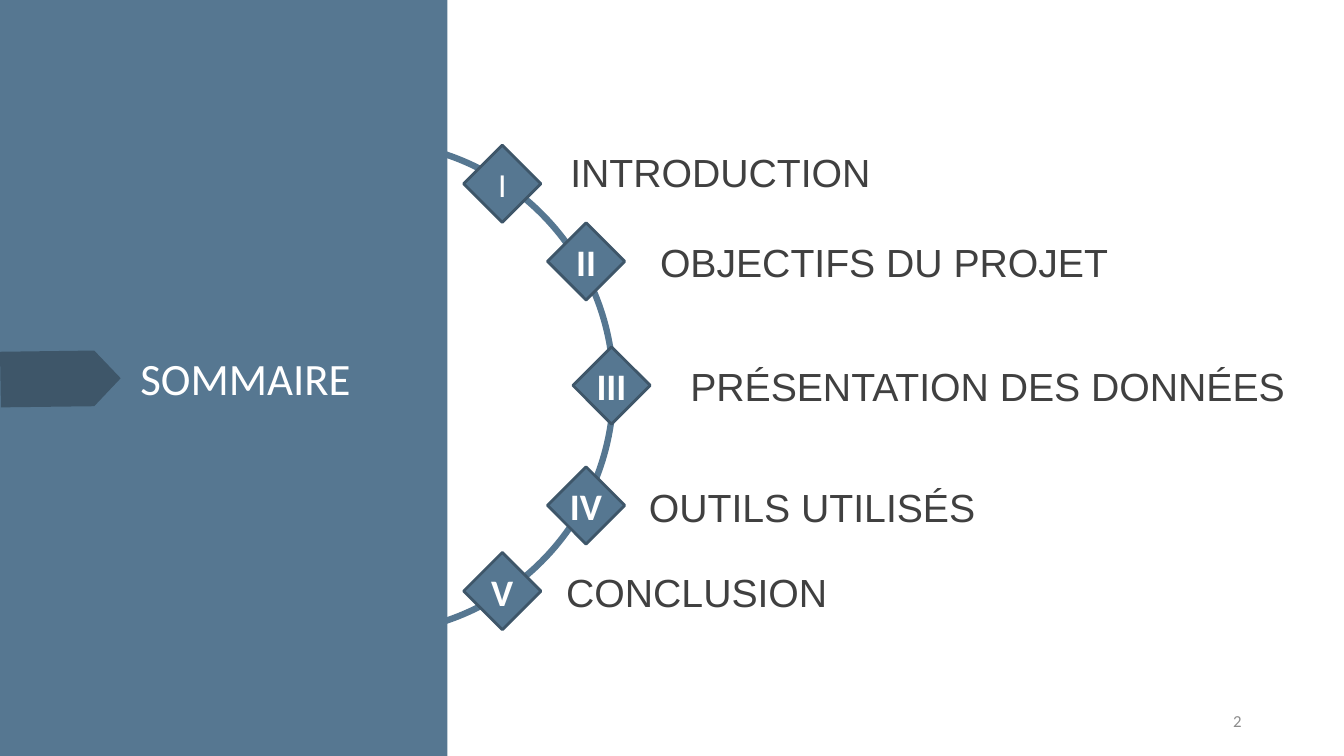
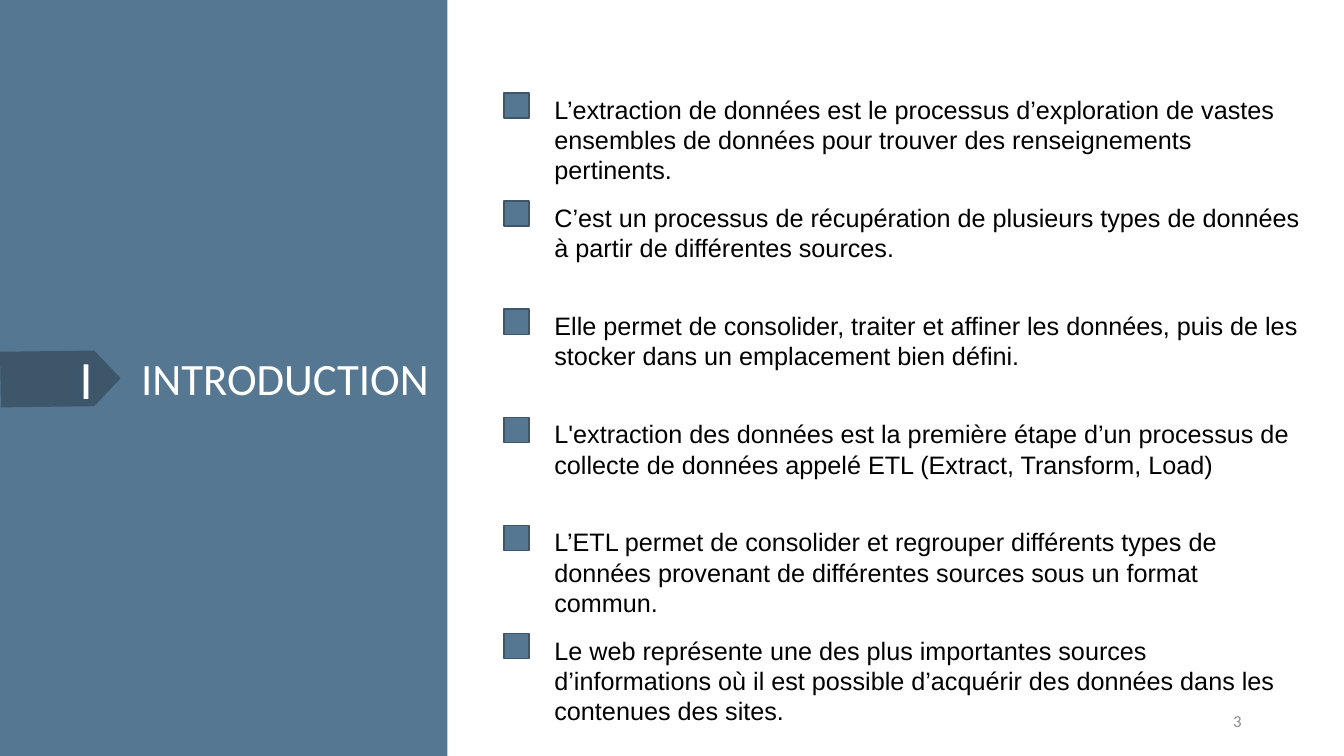
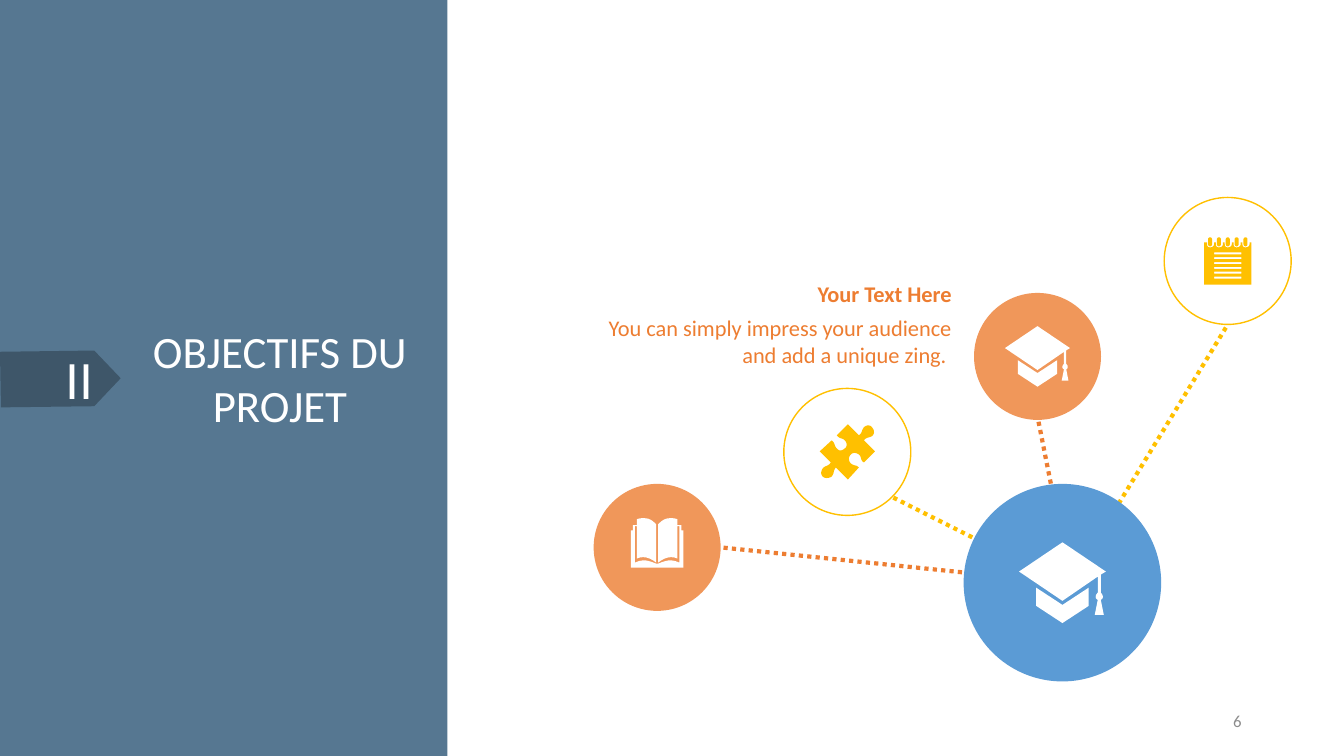
from lxml import etree
from pptx import Presentation
from pptx.dml.color import RGBColor
from pptx.enum.dml import MSO_LINE
from pptx.enum.shapes import MSO_CONNECTOR, MSO_SHAPE
from pptx.enum.text import MSO_ANCHOR, MSO_AUTO_SIZE, PP_ALIGN
from pptx.oxml.ns import qn
from pptx.util import Pt

RECT, OVAL = MSO_SHAPE.RECTANGLE, MSO_SHAPE.OVAL
DIAMOND, ARC = MSO_SHAPE.DIAMOND, MSO_SHAPE.BLOCK_ARC
LEFT, CENTER, RIGHT = PP_ALIGN.LEFT, PP_ALIGN.CENTER, PP_ALIGN.RIGHT
TOP, MIDDLE = MSO_ANCHOR.TOP, MSO_ANCHOR.MIDDLE
DOTTED = MSO_LINE.ROUND_DOT
STRAIGHT = MSO_CONNECTOR.STRAIGHT

STEEL = RGBColor(0x56, 0x77, 0x91)
NAVY = RGBColor(0x3E, 0x56, 0x69)
WHITE = RGBColor(0xFF, 0xFF, 0xFF)
BLACK = RGBColor(0, 0, 0)
CHARCOAL = RGBColor(0x40, 0x40, 0x40)
GREY = RGBColor(0x8C, 0x8C, 0x8C)
ORANGE = RGBColor(0xED, 0x7D, 0x31)
GOLD = RGBColor(0xFF, 0xC0, 0x00)
BLUE = RGBColor(0x5B, 0x9B, 0xD5)

TITLE_ONLY, TITLE_AND_BODY = 5, 1

# Icon outlines on a free grid: pairs are corners, sextets are Bezier curves.
CAP = [
    [(17, 45), (43, 62), (69, 45), (69, 63), (43, 80), (17, 63)],
    [(43, 0), (86, 29), (81, 32), (81, 50), (82, 51, 83, 52, 83, 54),
     (83, 55, 83, 56, 81, 57), (84, 72), (75, 72), (78, 57),
     (76, 56, 76, 55, 76, 54), (76, 52, 77, 51, 78, 50), (78, 34),
     (43, 58), (0, 29)],
]
PUZZLE = [
    [(52, 3), (54, 5, 55, 8, 53, 11), (50, 14, 47, 12, 44, 16), (55, 27),
     (44, 38), (40, 36, 42, 32, 39, 30), (36, 28, 33, 28, 31, 30),
     (29, 32, 28, 36, 31, 39), (35, 42, 36, 40, 39, 43), (28, 55), (16, 43),
     (13, 47, 15, 48, 12, 52), (9, 54, 5, 54, 3, 52), (1, 50, 1, 47, 3, 44),
     (5, 41, 9, 42, 11, 38), (0, 27), (12, 16), (16, 19, 14, 22, 18, 25),
     (20, 27, 23, 26, 25, 24), (27, 23, 28, 19, 25, 16),
     (22, 13, 20, 15, 17, 11), (28, 0), (39, 11), (43, 8, 41, 7, 44, 3),
     (47, 0, 51, 1, 52, 3)],
]
BOOK_HALF = [
    (27, 45), (35, 42, 39, 40, 48, 44), (48, 8), (46, 8), (46, 40),
    (40, 37, 33, 39, 27, 44), (27, 6), (31, 2, 34, 0, 39, 0),
    (41, 0, 43, 0, 46, 1), (46, 7), (50, 7), (50, 12), (52, 12), (52, 49),
]
BOOK_WIDTH = 52


def flatten(contour, steps=6):
    """Turn corners and Bezier curves into a plain list of points."""
    points = []
    for item in contour:
        if len(item) == 2:
            points.append(item)
            continue
        x0, y0 = points[-1]
        x1, y1, x2, y2, x3, y3 = item
        for k in range(1, steps + 1):
            t = k / steps
            a, b, c, d = (1 - t) ** 3, 3 * t * (1 - t) ** 2, 3 * t * t * (1 - t), t ** 3
            points.append((a * x0 + b * x1 + c * x2 + d * x3,
                           a * y0 + b * y1 + c * y2 + d * y3))
    return points


def book_contours():
    right = flatten(BOOK_HALF)
    return [right + [(BOOK_WIDTH - x, y) for x, y in reversed(right)]]


def notepad_contours():
    """Page with notches, its rings, and ruled lines as holes."""
    page, rings = [(0, 5)], []
    for i in range(5):
        x = 3 + 8.8 * i
        page += [(x, 5), (x, 7), (x, 9, x + 1, 10, x + 3, 10),
                 (x + 5, 10, x + 7, 9, x + 7, 7), (x + 7, 5)]
        rings.append([(x + 3, 0), (x + 4, 0, x + 5, 1, x + 5, 2), (x + 5, 7),
                      (x + 5, 8, x + 4, 9, x + 3, 9),
                      (x + 2, 9, x + 1, 8, x + 1, 7), (x + 1, 2),
                      (x + 1, 1, x + 2, 0, x + 3, 0)])
    page += [(47, 5), (47, 47), (0, 47)]
    tops = [15 + 4.8 * i for i in range(6)]
    rules = [[(10, y), (37, y), (37, y + 2), (10, y + 2)] for y in tops]
    return [page] + rings + rules


def paint(sp, fill=None, line=None, weight=1, alpha=None):
    sp.shadow.inherit = False
    if fill is None:
        sp.fill.background()
    else:
        sp.fill.solid()
        sp.fill.fore_color.rgb = fill
    if alpha is not None:
        color = sp._element.spPr.find(qn("a:solidFill"))[0]
        etree.SubElement(color, qn("a:alpha"), val=str(alpha * 1000))
    if line is None:
        sp.line.fill.background()
    else:
        sp.line.color.rgb = line
        sp.line.width = Pt(weight)


def add_shape(slide, kind, left, top, width, height, **look):
    sp = slide.shapes.add_shape(kind, Pt(left), Pt(top), Pt(width), Pt(height))
    paint(sp, **look)
    return sp


def add_outline(slide, contours, fill):
    """Draw closed outlines, given in points, as one freeform."""
    builder = None
    for contour in contours:
        points = [(Pt(x), Pt(y)) for x, y in contour]
        if builder is None:
            builder = slide.shapes.build_freeform(*points[0])
        else:
            builder.move_to(*points[0])
        builder.add_line_segments(points[1:], close=True)
    paint(builder.convert_to_shape(), fill=fill)


def add_icon(slide, contours, cx, cy, width, fill):
    """Scale an icon to a width and centre it on a point."""
    flat = [flatten(c) for c in contours]
    xs = [x for c in flat for x, _ in c]
    ys = [y for c in flat for _, y in c]
    scale = width / (max(xs) - min(xs))
    mid_x, mid_y = (min(xs) + max(xs)) / 2, (min(ys) + max(ys)) / 2
    add_outline(slide, [[(cx + (x - mid_x) * scale, cy + (y - mid_y) * scale)
                         for x, y in c] for c in flat], fill)


def add_dotted_line(slide, start, end, color):
    line = slide.shapes.add_connector(STRAIGHT, *[Pt(v) for v in start + end])
    line.line.color.rgb = color
    line.line.width = Pt(3)
    line.line.dash_style = DOTTED
    etree.SubElement(line._element.spPr, qn("a:effectLst"))


def set_frame(tf, anchor=TOP, inset=(7.2, 3.6)):
    tf.word_wrap = True
    tf.auto_size = MSO_AUTO_SIZE.NONE
    tf.vertical_anchor = anchor
    tf.margin_left = tf.margin_right = Pt(inset[0])
    tf.margin_top = tf.margin_bottom = Pt(inset[1])
    return tf


def write(tf, text, size=18, color=BLACK, font="Calibri", bold=False,
          align=LEFT, after=0, leading=None):
    """Write text in the first paragraph if it is empty, else in a new one."""
    p = tf.paragraphs[0] if not tf.text else tf.add_paragraph()
    p.alignment = align
    p.space_before, p.space_after = Pt(0), Pt(after)
    if leading:
        p.line_spacing = Pt(leading)
    r = p.add_run()
    r.text = text
    r.font.size, r.font.name, r.font.bold = Pt(size), font, bold
    r.font.color.rgb = color
    return p


def add_box(slide, left, top, width, height, anchor=TOP):
    box = slide.shapes.add_textbox(Pt(left), Pt(top), Pt(width), Pt(height))
    return set_frame(box.text_frame, anchor)


def place(slide, sp, left, top, width, height):
    """Move a placeholder, bring it to the front and ready its frame."""
    sp.left, sp.top, sp.width, sp.height = Pt(left), Pt(top), Pt(width), Pt(height)
    slide.shapes._spTree.append(sp._element)
    return set_frame(sp.text_frame)


def add_frame(slide, title, box, number, align=LEFT, numeral=None):
    """Add the side band, tag, title and slide number of every slide."""
    add_shape(slide, RECT, 0, 0, 319.7, 540, fill=STEEL)
    add_outline(slide, [[(0, 251.3), (67.3, 250.4), (86.2, 270.2),
                         (67.3, 290.2), (0.7, 291)]], NAVY)
    write(place(slide, slide.shapes.title, *box), title, size=32, color=WHITE,
          align=align)
    if numeral:
        write(add_box(slide, 24, 245.5, 50, 51), numeral, size=36, color=WHITE,
              font="Arial", align=RIGHT)
    write(add_box(slide, 678, 500.5, 216, 28.8, MIDDLE), number, size=12,
          color=GREY, align=RIGHT)


def build_summary(slide):
    arc = add_shape(slide, ARC, 85, 99.4, 355, 355, fill=STEEL, line=STEEL)
    for i, value in enumerate((161.74, 54.2, 0.01)):
        arc.adjustments[i] = value
    add_frame(slide, "SOMMAIRE", (93, 247, 203, 46), "2")
    size = 55.2
    # numeral, diamond centre, label left, label middle
    chapters = [
        ("I", 358.8, 131.3, 400.3, 122.8, "INTRODUCTION"),
        ("II", 418.6, 186.7, 464.4, 186.8, "OBJECTIFS DU PROJET"),
        ("III", 436.8, 275.3, 486, 275.4, "PRÉSENTATION DES DONNÉES"),
        ("IV", 418.6, 361, 456.5, 361.8, "OUTILS UTILISÉS"),
        ("V", 358.8, 422.2, 397.4, 423, "CONCLUSION"),
    ]
    for numeral, cx, cy, left, middle, label in chapters:
        first = numeral == "I"
        sp = add_shape(slide, DIAMOND, cx - size / 2, cy - size / 2, size, size,
                       fill=STEEL, line=NAVY, weight=2)
        tf = set_frame(sp.text_frame, MIDDLE, inset=(0, 0))
        tf.word_wrap = False
        write(tf, numeral, size=24 if first else 26.7, color=WHITE,
              bold=not first, align=CENTER)
        write(add_box(slide, left, middle - 20.5, 454, 41, MIDDLE), label,
              size=28, color=CHARCOAL, font="Arial")


def build_introduction(slide):
    add_frame(slide, "INTRODUCTION", (93.6, 247, 250, 46), "3", numeral="I")
    # text and the number of lines it fills
    items = [
        ("L’extraction de données est le processus d’exploration de vastes "
         "ensembles de données pour trouver des renseignements pertinents.", 3),
        ("C’est un processus de récupération de plusieurs types de données "
         "à partir de différentes sources.", 2),
        ("Elle permet de consolider, traiter et affiner les données, puis de "
         "les stocker dans un emplacement bien défini.", 2),
        ("L'extraction des données est la première étape d’un processus de "
         "collecte de données appelé ETL (Extract, Transform, Load)", 2),
        ("L’ETL permet de consolider et regrouper différents types de données "
         "provenant de différentes sources sous un format commun.", 3),
        ("Le web représente une des plus importantes sources d’informations "
         "où il est possible d’acquérir des données dans les contenues des "
         "sites.", 3),
    ]
    pitch, leading = 77.25, 21.7
    tf = place(slide, slide.placeholders[1], 388.8, 63.4, 553, 460)
    for i, (text, lines) in enumerate(items):
        add_shape(slide, RECT, 360, 66.3 + i * pitch, 18, 18, fill=STEEL, line=NAVY)
        p = write(tf, text, font="Arial", leading=leading,
                  after=pitch - lines * leading)
        props = p._p.get_or_add_pPr()
        props.set("marL", "0")
        props.set("indent", "0")
        etree.SubElement(props, qn("a:buNone"))


def build_objectives(slide):
    add_frame(slide, "OBJECTIFS DU PROJET", (75, 227.5, 250, 85), "6",
              align=CENTER, numeral="II")
    hub_x, hub_y, hub = 758.9, 416.2, 141.1
    size = 90.7
    # icon, its width, its vertical shift, line start, line end
    nodes = [
        (book_contours(), 37.5, -3.2, hub_x, (514.8, 391)),
        (PUZZLE, 39.5, 0, hub_x, (637.2, 355)),
        (CAP, 46.5, 0, hub_x + 5.8, (741.6, 300.2)),
        (notepad_contours(), 33.8, 0, hub_x + 5.8, (877, 231.8)),
    ]
    for i, (_, _, _, start_x, end) in enumerate(nodes):
        add_dotted_line(slide, (start_x, hub_y), end, GOLD if i % 2 else ORANGE)
    add_shape(slide, OVAL, hub_x - hub / 2, hub_y - hub / 2, hub, hub, fill=BLUE)
    add_icon(slide, CAP, hub_x, hub_y, 62, WHITE)
    for i, (icon, width, shift, _, _) in enumerate(nodes):
        cx, cy = 469.4 + 135.85 * i, 391 - 68.2 * i
        look = dict(line=GOLD) if i % 2 else dict(fill=ORANGE, alpha=80)
        add_shape(slide, OVAL, cx - size / 2, cy - size / 2, size, size, **look)
        add_icon(slide, icon, cx, cy + shift, width, GOLD if i % 2 else WHITE)
    tf = add_box(slide, 400, 196.8, 286.9, 70)
    write(tf, "Your Text Here", size=16, color=ORANGE, bold=True, align=RIGHT,
          after=4.8)
    write(tf, "You can simply impress your audience and add a unique zing. ",
          size=16, color=ORANGE, align=RIGHT)


def main():
    prs = Presentation()
    prs.slide_width, prs.slide_height = Pt(960), Pt(540)
    for build, layout in ((build_summary, TITLE_ONLY),
                          (build_introduction, TITLE_AND_BODY),
                          (build_objectives, TITLE_ONLY)):
        build(prs.slides.add_slide(prs.slide_layouts[layout]))
    prs.save("out.pptx")


if __name__ == "__main__":
    main()
